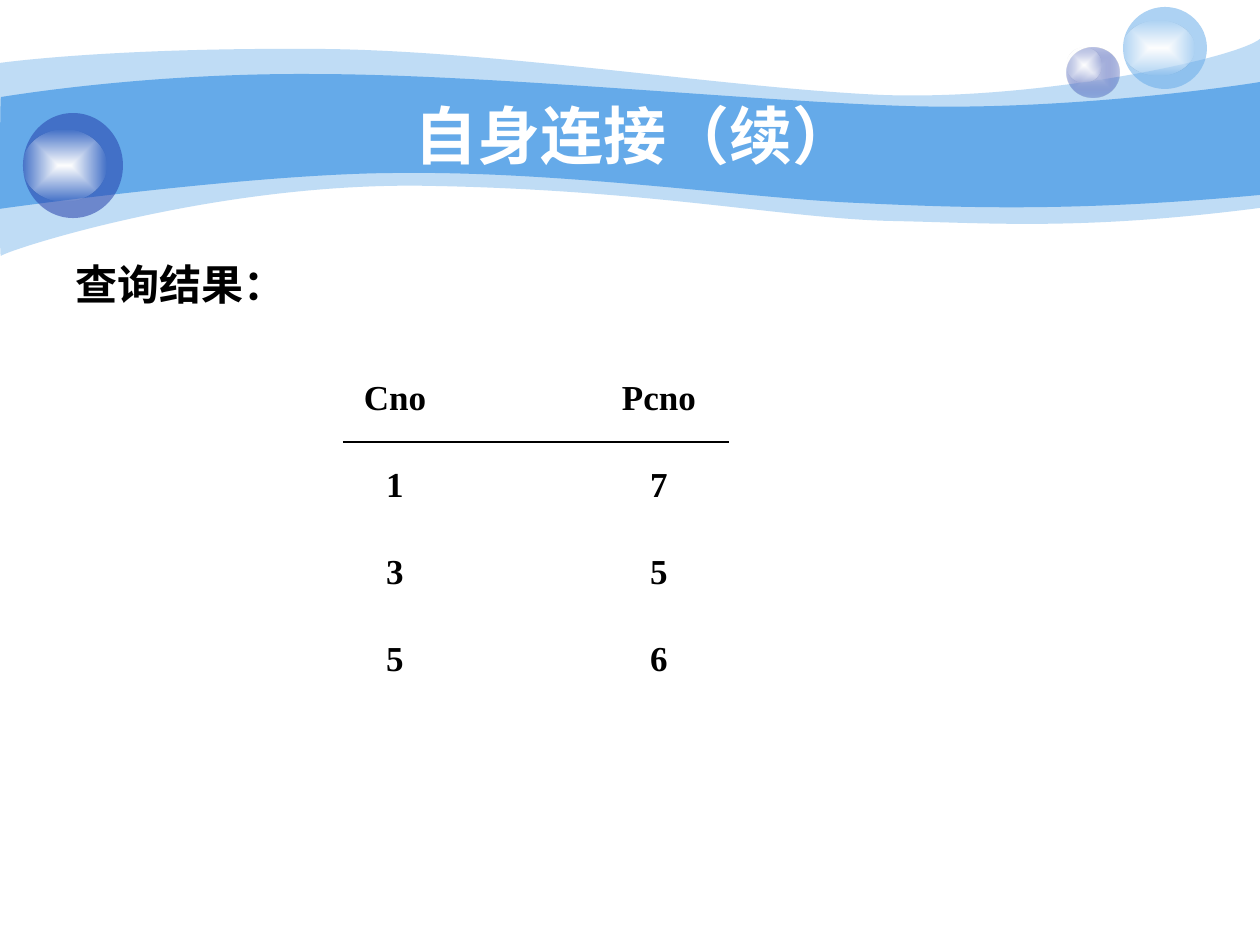
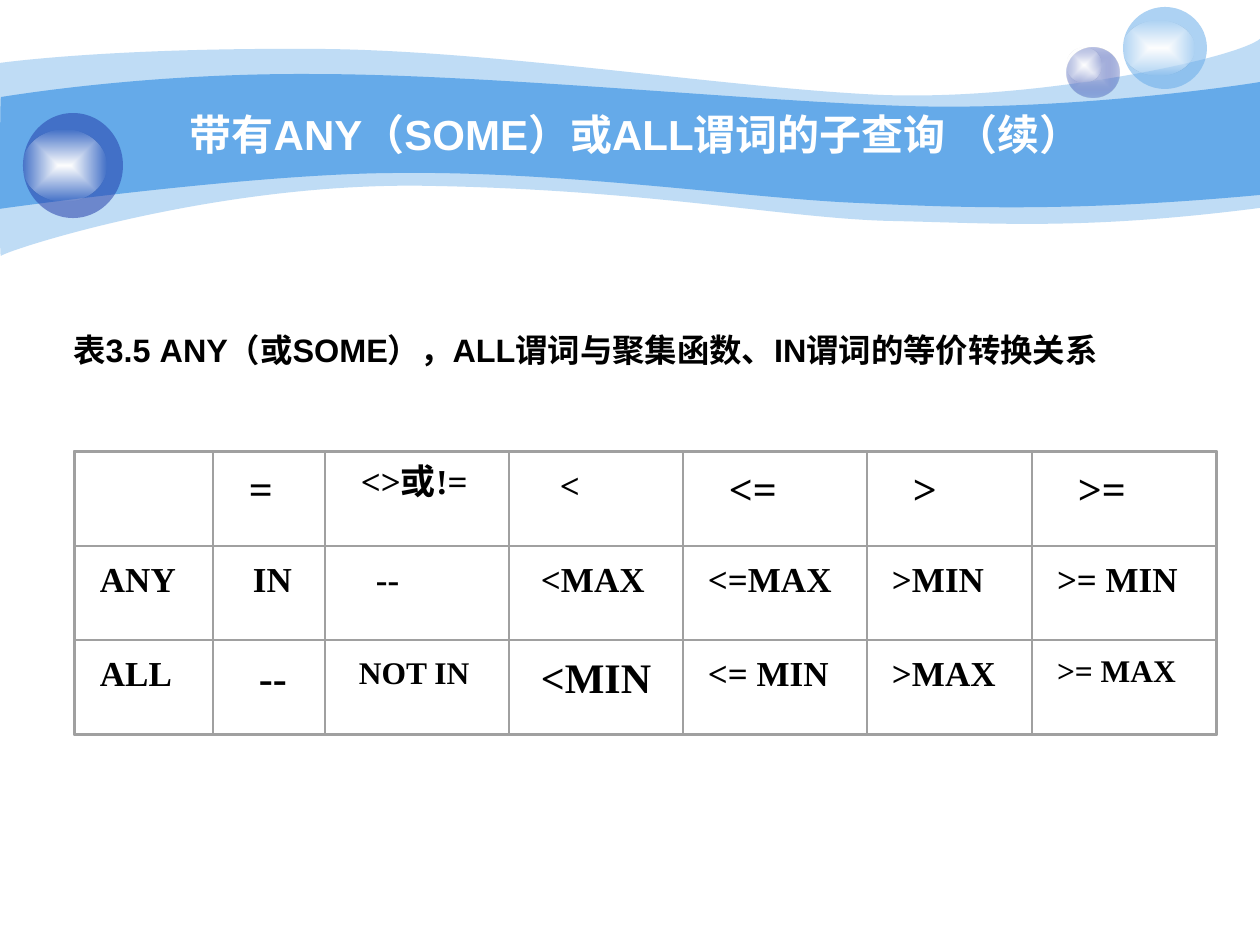
import itertools

import pptx
import pptx.dml.color
import pptx.enum.shapes
import pptx.enum.text
import pptx.oxml
import pptx.oxml.ns
import pptx.util

EMU_PER_PX = 914400 / 126
COLORS = {
    "sky": "65AAE9",
    "navy": "233DA9",
    "lilac": "C7CEE9",
    "white": "FFFFFF",
    "black": "000000",
    "grid": "A0A0A0",
}
SANS = "Arial"
SERIF = "Times New Roman"
CENTER = pptx.enum.text.PP_ALIGN.CENTER
MIDDLE = pptx.enum.text.MSO_ANCHOR.MIDDLE
NAMESPACE = pptx.oxml.ns.nsdecls("a")

# Each band: start point, then segments. A segment of three points is a cubic
# curve (two controls and an end), a segment of one point is a straight line.
OUTER_BAND = (
    (0, 63),
    [((30, 59), (135, 48), (311, 49)), ((486, 49), (725, 88), (881, 95)),
     ((1036, 101), (1235, 59), (1260, 39)), ((1260, 208),),
     ((1081, 231), (992, 223), (888, 221)), ((784, 218), (649, 190), (432, 186)),
     ((217, 181), (5, 251), (1, 256)), ((-1, 262), (0, 95), (0, 63))],
)
INNER_BAND = (
    (1, 97),
    [((3, 97), (139, 73), (312, 74)), ((486, 74), (750, 101), (905, 106)),
     ((1060, 111), (1230, 87), (1260, 82)), ((1260, 195),),
     ((1075, 212), (964, 208), (859, 203)), ((755, 199), (563, 171), (399, 173)),
     ((256, 173), (-3, 209), (-1, 209)), ((0, 209), (0, 97), (1, 97))],
)

RESULT_ROWS = [("Cno", "Pcno"), ("1", "7"), ("3", "5"), ("5", "6")]

GRID_LEFT, GRID_TOP, GRID_ROW_HEIGHT = 75, 452, 94
GRID_COLUMNS = [138, 112, 184, 174, 184, 165, 184]
ENTRY_GAP = 12
ENTRY_HEIGHTS = {18: 50, 20: 55, 24: 63}
ENTRY_TOP_INSET = 11
SPECIAL_TOP_INSETS = {"<>或!=": 7, "NOT IN": 13}
# Each entry: text, size in points, left inset in px.
PREDICATE_ROWS = [
    [("", 20, 13), ("=", 24, 24), ("<>或!=", 20, 24), ("<", 20, 39),
     ("<=", 24, 34), (">", 24, 34), (">=", 24, 34)],
    [("ANY", 20, 13), ("IN", 20, 28), ("--", 20, 39), ("<MAX", 20, 20),
     ("<=MAX", 20, 13), (">MIN", 20, 13), (">= MIN", 20, 13)],
    [("ALL", 20, 13), ("--", 24, 34), ("NOT IN", 18, 22), ("<MIN", 24, 20),
     ("<= MIN", 20, 13), (">MAX", 20, 13), (">= MAX", 18, 13)],
]


def px(length):
    return pptx.util.Emu(round(length * EMU_PER_PX))


def rgb(name):
    return pptx.dml.color.RGBColor.from_string(COLORS[name])


def write_text(text_frame, text, *, size, font=SANS, color="black", align=None):
    paragraph = text_frame.paragraphs[0]
    paragraph.alignment = align
    run = paragraph.add_run()
    run.text = text
    run.font.size = pptx.util.Pt(size)
    run.font.name = font
    run.font.bold = True
    run.font.color.rgb = rgb(color)


def add_text(slide, box, text, *, anchor=None, **text_format):
    text_frame = slide.shapes.add_textbox(*map(px, box)).text_frame
    text_frame.word_wrap = True
    text_frame.vertical_anchor = anchor
    write_text(text_frame, text, **text_format)
    return text_frame


def fill_solid(shape, color, opacity=100):
    shape.shadow.inherit = False
    shape.line.fill.background()
    shape.fill.solid()
    shape.fill.fore_color.rgb = rgb(color)
    if opacity < 100:
        color_element = shape.fill._xPr.find(".//" + pptx.oxml.ns.qn("a:srgbClr"))
        color_element.append(pptx.oxml.parse_xml(
            f'<a:alpha {NAMESPACE} val="{opacity * 1000}"/>'))


def fill_glow(shape, inner, outer, outer_opacity):
    """Fill from the centre outwards, fading to outer_opacity percent."""
    fill_solid(shape, inner)
    solid = shape.fill._xPr.find(pptx.oxml.ns.qn("a:solidFill"))
    solid.getparent().replace(solid, pptx.oxml.parse_xml(
        f'<a:gradFill {NAMESPACE} rotWithShape="1"><a:gsLst>'
        f'<a:gs pos="0"><a:srgbClr val="{COLORS[inner]}"/></a:gs>'
        f'<a:gs pos="100000"><a:srgbClr val="{COLORS[outer]}">'
        f'<a:alpha val="{outer_opacity * 1000}"/></a:srgbClr></a:gs></a:gsLst>'
        '<a:path path="rect">'
        '<a:fillToRect l="50000" t="50000" r="50000" b="50000"/>'
        '</a:path></a:gradFill>'))


def add_band(slide, band, opacity=100):
    """Outline the band through its end points, then bend the curved segments."""
    start, segments = band
    builder = slide.shapes.build_freeform(*map(px, start))
    builder.add_line_segments([tuple(map(px, segment[-1])) for segment in segments])
    shape = builder.convert_to_shape()
    lines = list(shape._element.iter(pptx.oxml.ns.qn("a:lnTo")))
    for line, segment in zip(lines, segments):
        if len(segment) == 3:
            points = "".join(
                f'<a:pt x="{px(x) - shape.left}" y="{px(y) - shape.top}"/>'
                for x, y in segment)
            line.getparent().replace(line, pptx.oxml.parse_xml(
                f"<a:cubicBezTo {NAMESPACE}>{points}</a:cubicBezTo>"))
    fill_solid(shape, "sky", opacity)


def add_ellipse(slide, box):
    return slide.shapes.add_shape(
        pptx.enum.shapes.MSO_SHAPE.OVAL, *map(px, box))


def add_highlight(slide, box):
    fill_glow(add_ellipse(slide, box), "white", "white", 0)


def add_header(slide, title, size):
    add_band(slide, OUTER_BAND, 41)
    add_band(slide, INNER_BAND)
    fill_glow(add_ellipse(slide, (1067, 48, 53, 50)), "lilac", "navy", 31)
    add_highlight(slide, (1067, 48, 35, 34))
    fill_solid(add_ellipse(slide, (1123, 7, 84, 82)), "sky", 53)
    add_highlight(slide, (1123, 21, 71, 54))
    fill_solid(add_ellipse(slide, (23, 113, 100, 105)), "navy", 53)
    add_highlight(slide, (23, 130, 83, 71))
    add_text(slide, (126, 95, 1019, 78), title, size=size, color="white",
             align=CENTER, anchor=MIDDLE)


def add_table(slide, left, top, column_width, row_height, rows):
    row_count, column_count = len(rows), len(rows[0])
    table = slide.shapes.add_table(
        row_count, column_count, px(left), px(top),
        px(column_width * column_count), px(row_height * row_count)).table
    table.first_row = table.horz_banding = False
    for row, values in zip(table.rows, rows):
        for cell, value in zip(row.cells, values):
            cell.fill.background()
            write_text(cell.text_frame, value, size=20, font=SERIF, align=CENTER)


def add_rule(slide, left, right, y):
    rule = slide.shapes.add_connector(
        pptx.enum.shapes.MSO_CONNECTOR.STRAIGHT, px(left), px(y), px(right), px(y))
    rule.line.color.rgb = rgb("black")
    rule.line.width = pptx.util.Pt(0.75)
    rule._element.spPr.append(pptx.oxml.parse_xml(f"<a:effectLst {NAMESPACE}/>"))


def add_frame(slide, box, line_width):
    frame = slide.shapes.add_shape(
        pptx.enum.shapes.MSO_SHAPE.RECTANGLE, *map(px, box))
    frame.shadow.inherit = False
    frame.fill.background()
    frame.line.color.rgb = rgb("grid")
    frame.line.width = pptx.util.Pt(line_width)


def add_entry(slide, left, top, column_width, text, size, inset):
    box = (left + ENTRY_GAP, top, column_width - 2 * ENTRY_GAP, ENTRY_HEIGHTS[size])
    text_frame = add_text(slide, box, text, size=size, font=SERIF)
    text_frame.margin_left = px(inset)
    text_frame.margin_right = text_frame.margin_bottom = 0
    text_frame.margin_top = px(SPECIAL_TOP_INSETS.get(text, ENTRY_TOP_INSET))


def add_predicate_grid(slide):
    lefts = list(itertools.accumulate(GRID_COLUMNS, initial=GRID_LEFT))
    for row_index, entries in enumerate(PREDICATE_ROWS):
        top = GRID_TOP + row_index * GRID_ROW_HEIGHT
        for left, width, (text, size, inset) in zip(lefts, GRID_COLUMNS, entries):
            if text:
                add_entry(slide, left, top, width, text, size, inset)
            add_frame(slide, (left, top, width, GRID_ROW_HEIGHT), 0)
    add_frame(slide, (GRID_LEFT - 1, GRID_TOP - 1, sum(GRID_COLUMNS) + 2,
                      len(PREDICATE_ROWS) * GRID_ROW_HEIGHT + 2), 0.88)


def build_result_slide(slide):
    add_header(slide, "自身连接（续）", 36)
    add_text(slide, (63, 252, 557, 82), "查询结果：", size=24)
    add_table(slide, 263, 373, 264, 87, RESULT_ROWS)
    add_rule(slide, 343, 729, 442)


def build_predicate_slide(slide):
    add_header(slide, "带有ANY（SOME）或ALL谓词的子查询 （续）", 24)
    add_text(slide, (61, 324, 1171, 77),
             "表3.5 ANY（或SOME），ALL谓词与聚集函数、IN谓词的等价转换关系", size=18.5)
    add_predicate_grid(slide)


def main():
    presentation = pptx.Presentation()
    presentation.slide_width = px(1260)
    presentation.slide_height = px(945)
    blank_layout = presentation.slide_layouts[6]
    for build_slide in (build_result_slide, build_predicate_slide):
        build_slide(presentation.slides.add_slide(blank_layout))
    presentation.save("out.pptx")


if __name__ == "__main__":
    main()
